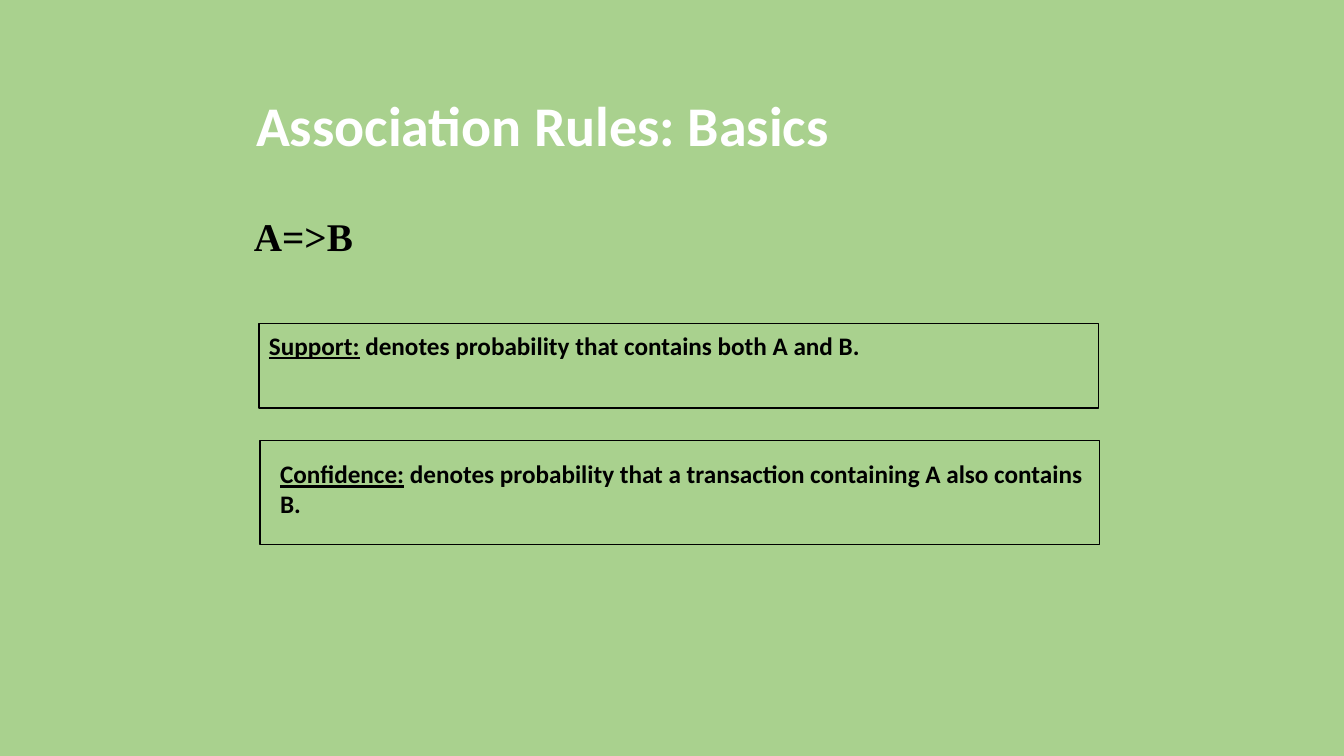
"""Build the slide on the basics of association rules."""
import pptx
import pptx.dml.color
import pptx.enum.shapes
import pptx.enum.text
import pptx.util

Cm = pptx.util.Cm
Pt = pptx.util.Pt

BACKGROUND, BLACK, WHITE = "A9D18E", "000000", "FFFFFF"
TITLE = ("Association Rules: Basics", (6.2, 2.18, 21.44, 2.11))
RULE = ("A=>B", (6.15, 5.23, 21.59, 2.79))
DEFINITIONS = [
    {
        "term": "Support:",
        "meaning": " denotes probability that contains both A and B.",
        "frame": (6.53, 8.15, 21.16, 2.13),
        "text": (6.53, 8.2, 16.94, 1.02),
    },
    {
        "term": "Confidence:",
        "meaning": " denotes probability that a transaction containing A also contains B.",
        "frame": (6.55, 11.1, 21.16, 2.62),
        "text": (6.81, 11.43, 20.9, 1.8),
    },
]


def color(value):
    return pptx.dml.color.RGBColor.from_string(value)


def add_text(paragraph, text, size=18, font="Calibri", fill=BLACK, underline=False):
    run = paragraph.add_run()
    run.text = text
    run.font.size = Pt(size)
    run.font.name = font
    run.font.bold = True
    run.font.underline = underline
    run.font.color.rgb = color(fill)


def add_text_box(slide, place):
    shape = slide.shapes.add_textbox(*map(Cm, place))
    shape.text_frame.word_wrap = True
    return shape.text_frame.paragraphs[0]


def add_title(slide, text, place):
    title = slide.shapes.title
    title.left, title.top, title.width, title.height = map(Cm, place)
    title.text_frame.vertical_anchor = pptx.enum.text.MSO_ANCHOR.MIDDLE
    title.text_frame.auto_size = pptx.enum.text.MSO_AUTO_SIZE.NONE
    paragraph = title.text_frame.paragraphs[0]
    paragraph.alignment = pptx.enum.text.PP_ALIGN.LEFT
    paragraph.line_spacing = 0.9
    add_text(paragraph, text, size=40, fill=WHITE)


def add_frame(slide, place):
    rectangle = pptx.enum.shapes.MSO_SHAPE.RECTANGLE
    frame = slide.shapes.add_shape(rectangle, *map(Cm, place))
    frame.shadow.inherit = False
    frame.fill.background()
    frame.line.color.rgb = color(BLACK)
    frame.line.width = Pt(1)


def main():
    presentation = pptx.Presentation()
    presentation.slide_width = Cm(33.87)
    presentation.slide_height = Cm(19.05)
    slide = presentation.slides.add_slide(presentation.slide_layouts[5])
    slide.background.fill.solid()
    slide.background.fill.fore_color.rgb = color(BACKGROUND)

    add_title(slide, *TITLE)
    rule, place = RULE
    add_text(add_text_box(slide, place), rule, size=28, font="Times New Roman")
    for definition in DEFINITIONS:
        add_frame(slide, definition["frame"])
        paragraph = add_text_box(slide, definition["text"])
        add_text(paragraph, definition["term"], underline=True)
        add_text(paragraph, definition["meaning"])

    presentation.save("out.pptx")


if __name__ == "__main__":
    main()
